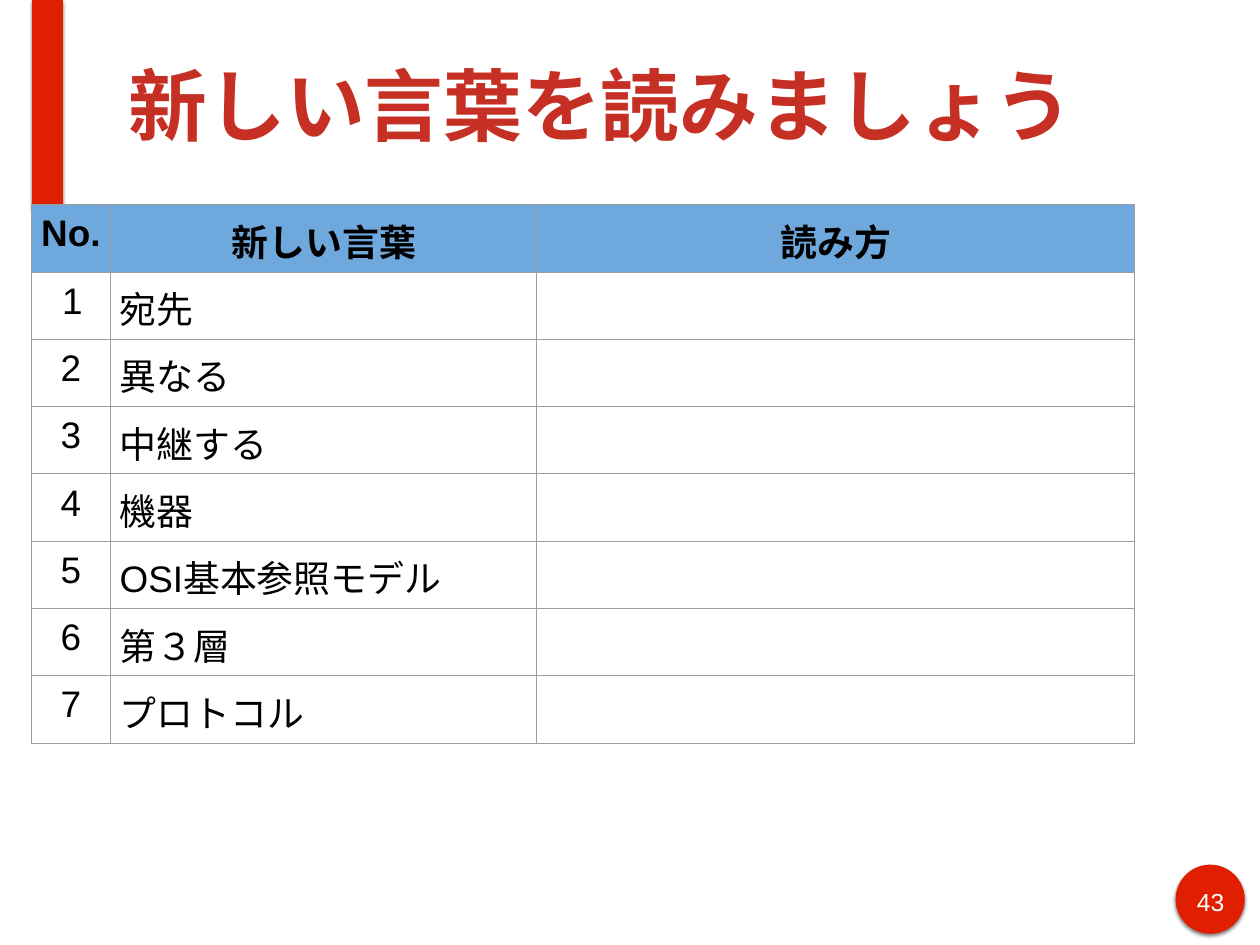
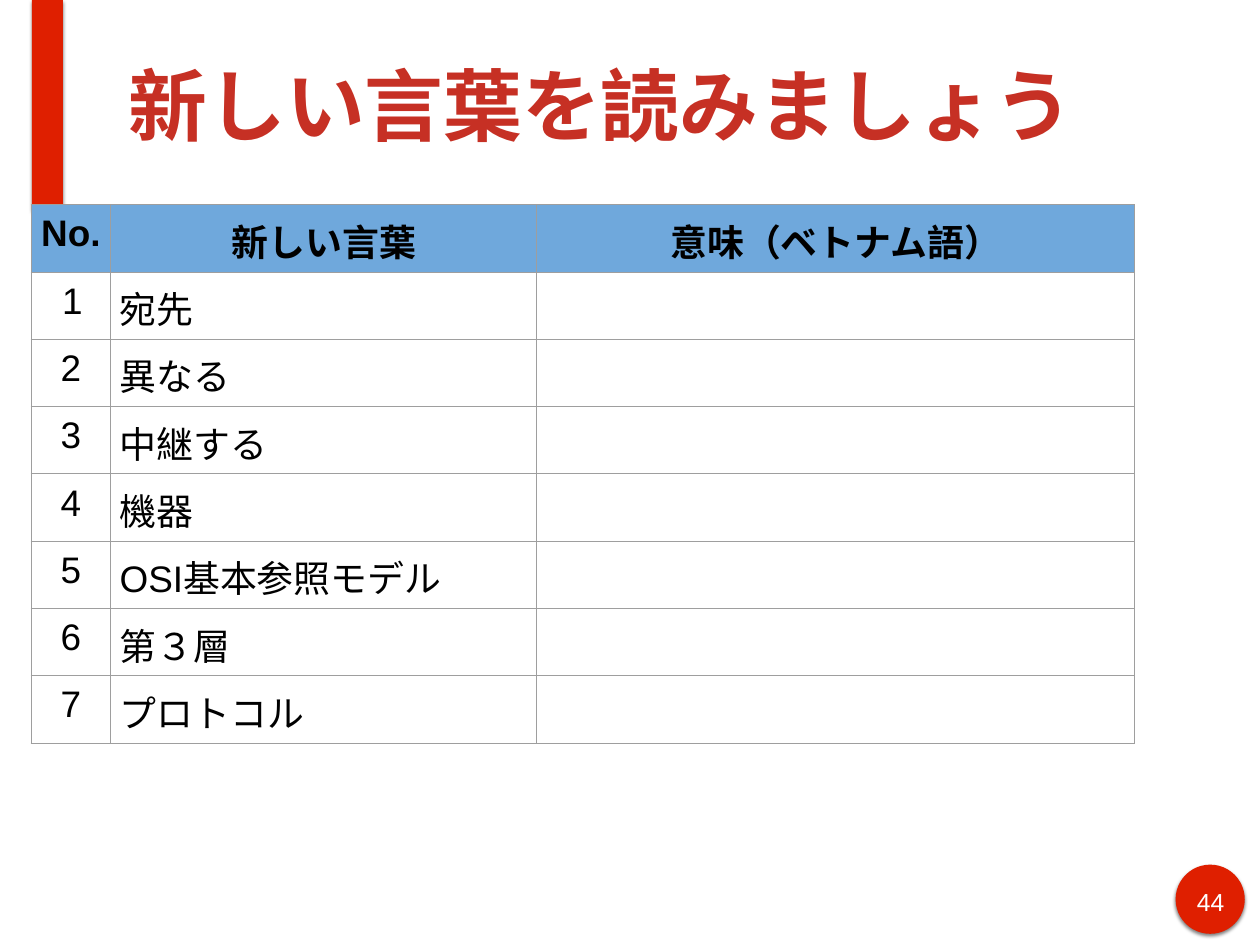
from lxml.etree import SubElement
from pptx import Presentation
from pptx.dml.color import RGBColor
from pptx.enum.shapes import MSO_SHAPE as SHAPE
from pptx.enum.text import MSO_ANCHOR as ANCHOR, PP_ALIGN as ALIGN
from pptx.oxml.ns import qn
from pptx.util import Pt

TITLE = "新しい言葉を読みましょう"
WORDS = ["宛先", "異なる", "中継する", "機器", "OSI基本参照モデル", "第３層", "プロトコル"]
SLIDES = [(43, "読み方"), (44, "意味（ベトナム語）")]

FONT = "Arial"
RED, TITLE_RED, HEADER_BLUE = "DF1F00", "C63024", "6FA8DC"
GRID, BLACK, WHITE = "9E9E9E", "000000", "FFFFFF"

BAND = (25.9, 0, 25.2, 169.9)
BADGE = (955.4, 702.7, 56.2, 56.2)
NUMBER_BOX = (966.2, 716.4, 35.3, 28.1)
TITLE_BOX = (100.1, 8.6, 874.1, 152.6)
TABLE_LEFT, TABLE_TOP = 25.2, 166.3
COLUMNS = [64.8, 346.3, 486]
ROW_HEIGHT = 54.7
TEXT_INSET, CELL_INSET = 4.5, 7.2


def rgb(value):
    return RGBColor.from_string(value)


def points(values):
    return [Pt(v) for v in values]


def set_insets(target, inset):
    for side in ("left", "right", "top", "bottom"):
        setattr(target, f"margin_{side}", Pt(inset))


def write(tf, text, size, color, bold=False, align=ALIGN.LEFT):
    p = tf.paragraphs[0]
    p.text = text
    p.alignment = align
    for r in p.runs:
        r.font.name, r.font.size, r.font.bold = FONT, Pt(size), bold
        r.font.color.rgb = rgb(color)
    return p


def add_accent(slide, kind, box):
    """Red shape with a soft shadow below it."""
    sp = slide.shapes.add_shape(kind, *points(box))
    sp.fill.solid()
    sp.fill.fore_color.rgb = rgb(RED)
    sp.line.fill.background()
    sp.shadow.inherit = False
    effects = sp._element.spPr.find(qn("a:effectLst"))
    shadow = SubElement(effects, qn("a:outerShdw"), blurRad=str(Pt(3)),
                        dist=str(Pt(2)), dir="5400000", rotWithShape="0")
    color = SubElement(shadow, qn("a:srgbClr"), val=BLACK)
    SubElement(color, qn("a:alpha"), val="50000")


def add_text(slide, box, text, **style):
    tf = slide.shapes.add_textbox(*points(box)).text_frame
    tf.word_wrap = True
    set_insets(tf, TEXT_INSET)
    write(tf, text, **style)
    return tf


def add_frame(slide, number):
    add_accent(slide, SHAPE.OVAL, BADGE)
    add_accent(slide, SHAPE.RECTANGLE, BAND)
    add_text(slide, NUMBER_BOX, str(number), size=20, color=WHITE, align=ALIGN.CENTER)
    tf = add_text(slide, TITLE_BOX, TITLE, size=64, color=TITLE_RED, bold=True)
    tf.vertical_anchor = ANCHOR.MIDDLE


def add_borders(cell):
    tc_pr = cell._tc.get_or_add_tcPr()
    for side in ("lnL", "lnR", "lnT", "lnB"):
        ln = SubElement(tc_pr, qn(f"a:{side}"), w=str(Pt(0.75)))
        fill = SubElement(ln, qn("a:solidFill"))
        SubElement(fill, qn("a:srgbClr"), val=GRID)


def add_word_table(slide, last_heading):
    rows = [("No.", "新しい言葉", last_heading)]
    rows += [(str(i), word, "") for i, word in enumerate(WORDS, 1)]
    size = (sum(COLUMNS), ROW_HEIGHT * len(rows))
    table = slide.shapes.add_table(len(rows), len(COLUMNS),
                                   *points((TABLE_LEFT, TABLE_TOP, *size))).table
    table.first_row = table.horz_banding = False
    for column, width in zip(table.columns, COLUMNS):
        column.width = Pt(width)
    for i, texts in enumerate(rows):
        table.rows[i].height = Pt(ROW_HEIGHT)
        header = i == 0
        for j, text in enumerate(texts):
            cell = table.cell(i, j)
            set_insets(cell, CELL_INSET)
            add_borders(cell)
            if header:
                cell.fill.solid()
                cell.fill.fore_color.rgb = rgb(HEADER_BLUE)
            else:
                cell.fill.background()
            if text:
                centred = header or j == 0
                write(cell.text_frame, text, 30, BLACK, header,
                      ALIGN.CENTER if centred else ALIGN.LEFT)
    # The first number is indented instead of centred.
    p = table.cell(1, 0).text_frame.paragraphs[0]
    p.alignment = ALIGN.LEFT
    p_pr = p._p.get_or_add_pPr()
    p_pr.set("marL", str(Pt(36)))
    p_pr.set("indent", str(Pt(-18)))


def main():
    prs = Presentation()
    prs.slide_width, prs.slide_height = Pt(1024), Pt(768)
    for number, last_heading in SLIDES:
        slide = prs.slides.add_slide(prs.slide_layouts[6])
        add_frame(slide, number)
        add_word_table(slide, last_heading)
    prs.save("out.pptx")


if __name__ == "__main__":
    main()
